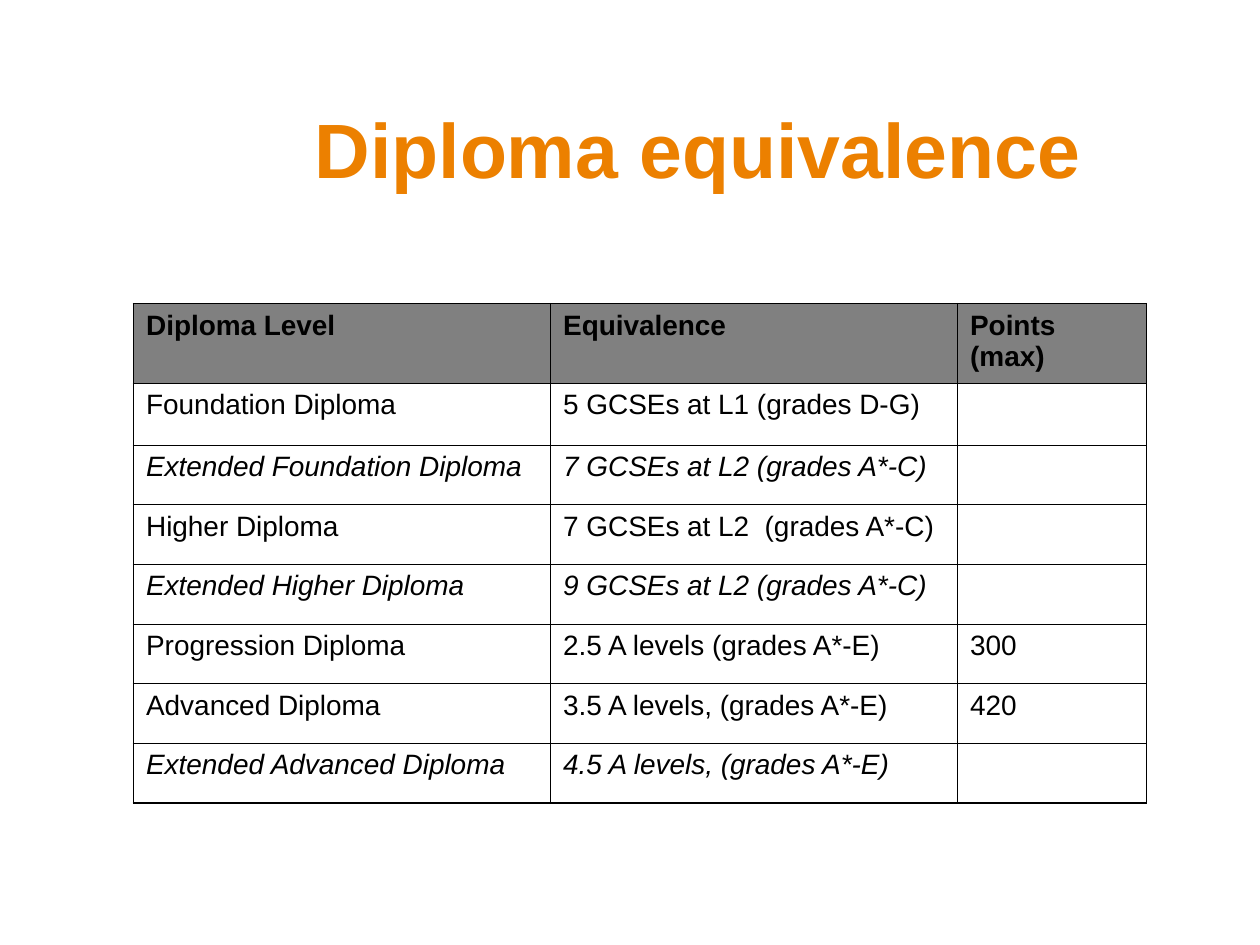
from dataclasses import dataclass

from lxml import etree
from pptx import Presentation
from pptx.dml.color import RGBColor
from pptx.enum.text import MSO_ANCHOR
from pptx.oxml.ns import qn
from pptx.util import Inches, Pt

TOP = MSO_ANCHOR.TOP


@dataclass(frozen=True)
class Theme:
    """Colours, font, type sizes and line widths of the slide."""

    font: str = "Arial"
    accent: str = "EC8000"
    ink: str = "000000"
    header: str = "808080"
    paper: str = "FFFFFF"
    title_size: float = 44
    cell_size: float = 16
    outer_line: float = 1.08
    inner_line: float = 0.45


THEME = Theme()

TABLE_LEFT, TABLE_TOP, TABLE_HEIGHT = 1.06, 2.41, 3.94
COLUMN_WIDTHS = (3.31, 3.23, 1.5)
HEADER_HEIGHT, FIRST_HEIGHT = 0.61, 0.49
DIPLOMAS = (
    ("Diploma Level", "Equivalence", "Points (max)"),
    ("Foundation Diploma", "5 GCSEs at L1 (grades D-G)", ""),
    ("Extended Foundation Diploma", "7 GCSEs at L2 (grades A*-C)", ""),
    ("Higher Diploma", "7 GCSEs at L2  (grades A*-C)", ""),
    ("Extended Higher Diploma", "9 GCSEs at L2 (grades A*-C)", ""),
    ("Progression Diploma", "2.5 A levels (grades A*-E)", "300"),
    ("Advanced Diploma", "3.5 A levels, (grades A*-E)", "420"),
    ("Extended Advanced Diploma", "4.5 A levels, (grades A*-E)", ""),
)


def format_text(paragraph, size, color, bold=False, italic=False):
    """Apply the type style to every run of a paragraph."""
    for run in paragraph.runs:
        run.font.name = THEME.font
        run.font.size = Pt(size)
        run.font.bold = bold
        run.font.italic = italic
        run.font.color.rgb = RGBColor.from_string(color)


def add_title(slide, text):
    """Add the slide heading."""
    title = slide.shapes.add_textbox(Inches(2.4), Inches(0.76), Inches(7.32), Inches(0.84))
    title.text_frame.word_wrap = True
    title.text_frame.text = text
    format_text(title.text_frame.paragraphs[0], THEME.title_size, THEME.accent, bold=True)


def set_borders(cell, outer_sides):
    """Draw all four cell borders, heavier on the outer sides."""
    properties = cell._tc.get_or_add_tcPr()
    for side in "LRTB":
        width = THEME.outer_line if side in outer_sides else THEME.inner_line
        line = etree.SubElement(properties, qn(f"a:ln{side}"), w=str(Pt(width)))
        fill = etree.SubElement(line, qn("a:solidFill"))
        etree.SubElement(fill, qn("a:srgbClr"), val=THEME.ink)


def style_cell(cell, outer_sides, fill_color, bold, italic):
    """Set the borders, fill and text style of one cell."""
    set_borders(cell, outer_sides)
    cell.fill.solid()
    cell.fill.fore_color.rgb = RGBColor.from_string(fill_color)
    cell.vertical_anchor = TOP
    format_text(cell.text_frame.paragraphs[0], THEME.cell_size, THEME.ink, bold, italic)


def add_diploma_table(slide):
    """Add the table of diploma levels and their equivalents."""
    row_count, column_count = len(DIPLOMAS), len(COLUMN_WIDTHS)
    table = slide.shapes.add_table(
        row_count, column_count, Inches(TABLE_LEFT), Inches(TABLE_TOP),
        Inches(sum(COLUMN_WIDTHS)), Inches(TABLE_HEIGHT),
    ).table
    for column, width in zip(table.columns, COLUMN_WIDTHS):
        column.width = Inches(width)
    other_height = (TABLE_HEIGHT - HEADER_HEIGHT - FIRST_HEIGHT) / (row_count - 2)
    heights = [HEADER_HEIGHT, FIRST_HEIGHT] + [other_height] * (row_count - 2)
    for row_index, (values, height) in enumerate(zip(DIPLOMAS, heights)):
        table.rows[row_index].height = Inches(height)
        is_header = row_index == 0
        is_extended = values[0].startswith("Extended")
        fill_color = THEME.header if is_header else THEME.paper
        row_sides = {0: "T", row_count - 1: "B"}.get(row_index, "")
        for column_index, value in enumerate(values):
            cell = table.cell(row_index, column_index)
            cell.text_frame.text = value
            column_sides = {0: "L", column_count - 1: "R"}.get(column_index, "")
            style_cell(cell, row_sides + column_sides, fill_color, is_header, is_extended)


def main():
    """Build and save the slide."""
    presentation = Presentation()
    presentation.slide_width = Inches(10)
    presentation.slide_height = Inches(7.5)
    slide = presentation.slides.add_slide(presentation.slide_layouts[6])
    add_title(slide, "Diploma equivalence")
    add_diploma_table(slide)
    presentation.save("out.pptx")


if __name__ == "__main__":
    main()
